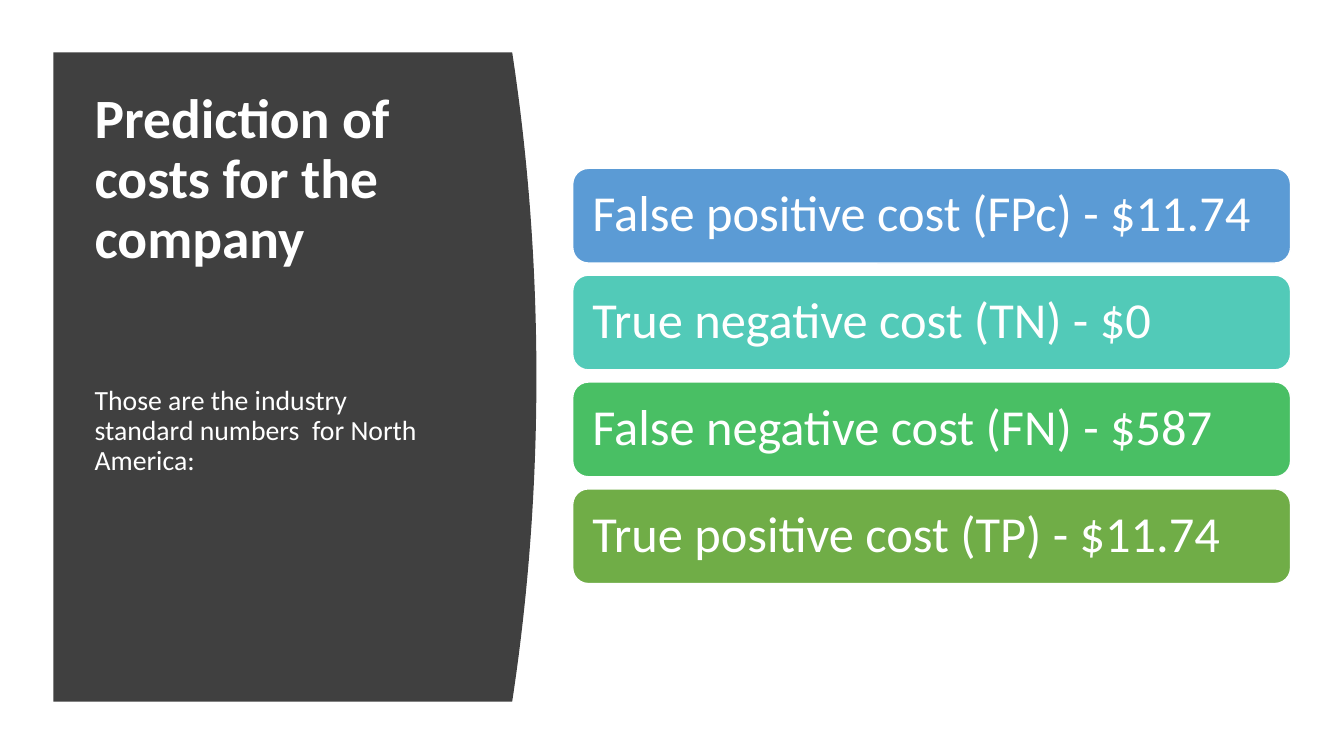
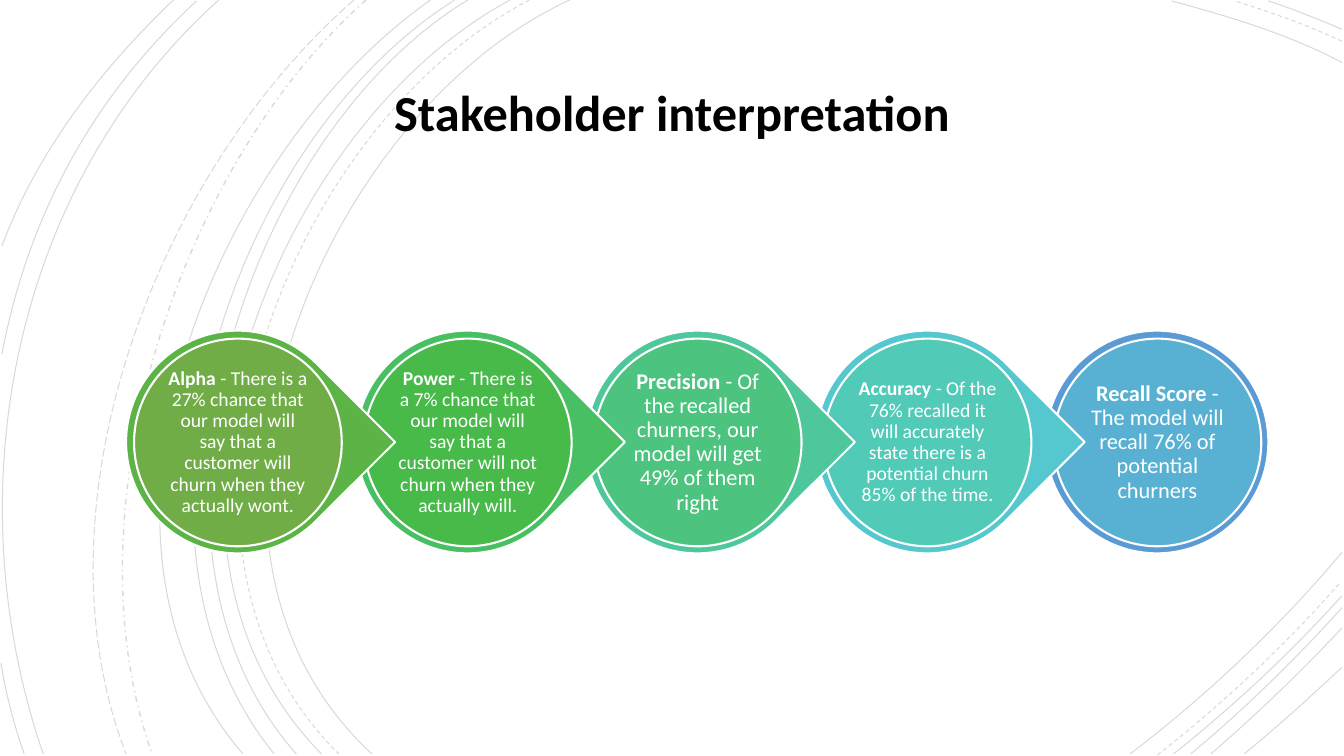
from lxml.etree import SubElement
from pptx import Presentation
from pptx.dml.color import RGBColor
from pptx.enum.dml import MSO_LINE
from pptx.enum.shapes import MSO_SHAPE
from pptx.enum.text import MSO_ANCHOR, PP_ALIGN
from pptx.oxml.ns import qn
from pptx.util import Inches, Pt

ROUND, OVAL, DROP = MSO_SHAPE.ROUNDED_RECTANGLE, MSO_SHAPE.OVAL, MSO_SHAPE.TEAR
SOLID, DASH = MSO_LINE.SOLID, MSO_LINE.DASH
LONG, DOT = MSO_LINE.LONG_DASH, MSO_LINE.DASH_DOT
TOP, MIDDLE = MSO_ANCHOR.TOP, MSO_ANCHOR.MIDDLE
LEFT, CENTER = PP_ALIGN.LEFT, PP_ALIGN.CENTER


class Theme:
    font = "Calibri"
    white = RGBColor.from_string("FFFFFF")
    black = RGBColor.from_string("000000")
    dark = RGBColor.from_string("404040")
    head, title, note, bar = 39.6, 36, 19.8, 36


def write(frame, paras, color=Theme.white, align=LEFT, anchor=TOP, inset=0.1):
    """Fill a text frame; each paragraph is a size and its (text, bold) runs."""
    frame.word_wrap = True
    frame.vertical_anchor = anchor
    frame.margin_left = frame.margin_right = Inches(inset)
    frame.margin_top = frame.margin_bottom = Inches(0)
    for row, (size, runs) in enumerate(paras):
        para = frame.add_paragraph() if row else frame.paragraphs[0]
        para.alignment = align
        para.line_spacing = 0.9
        font = para.font
        font.name, font.size, font.color.rgb = Theme.font, Pt(size), color
        for text, bold in runs:
            run = para.add_run()
            run.text, run.font.bold = text, bold


def trace(slide, knots, tail=()):
    """Draw cubic curves through the knots; a tail of straight sides closes them."""
    points = [(Inches(x), Inches(y)) for x, y in (*knots, *tail)]
    form = slide.shapes.build_freeform(*points[0])
    form.add_line_segments(points[1:], close=bool(tail))
    shape = form.convert_to_shape()
    shape.shadow.inherit = False
    # Merge each three straight steps into one cubic curve
    lines = shape.element.findall(".//" + qn("a:lnTo"))
    for first in range(0, len(knots) - 1, 3):
        curve, *others = lines[first:first + 3]
        for line in others:
            curve.append(line[0])
            line.getparent().remove(line)
        curve.tag = qn("a:cubicBezTo")
    return shape


deck = Presentation()
deck.slide_width, deck.slide_height = Inches(13.33), Inches(7.5)
blank = deck.slide_layouts[6]

# Slide 1: dark panel with a curved right edge
slide = deck.slides.add_slide(blank)
edge = ((5.08, 0.52), (5.24, 1.57), (5.32, 2.65), (5.32, 3.74),
        (5.32, 4.83), (5.24, 5.91), (5.08, 6.96))
panel = trace(slide, edge, ((0.53, 6.96), (0.53, 0.52)))
panel.fill.solid()
panel.fill.fore_color.rgb = Theme.dark
panel.line.fill.background()

# Panel title and note
box = slide.shapes.add_textbox(Inches(0.84), Inches(0.9), Inches(3.74), Inches(5.47))
write(box.text_frame, (
    (Theme.head, [("Prediction of costs for the company", True)]),
    (Theme.note, [("Those are the industry standard numbers  for North America:",
                   False)]),
))
box.text_frame.paragraphs[1].space_before = Pt(83)

# Cost bars
costs = (
    ("False positive cost (FPc) - $11.74", "5B9BD5"),
    ("True negative cost (TN) - $0", "52CAB8"),
    ("False negative cost (FN) - $587", "49BF64"),
    ("True positive cost (TP) - $11.74", "70AD47"),
)
for row, (text, fill) in enumerate(costs):
    bar = slide.shapes.add_shape(
        ROUND, Inches(5.68), Inches(1.67 + 1.06 * row), Inches(7.12), Inches(0.94))
    bar.shadow.inherit = False
    bar.fill.solid()
    bar.fill.fore_color.rgb = RGBColor.from_string(fill)
    bar.line.color.rgb = Theme.white
    bar.line.width = Pt(1)
    write(bar.text_frame, [(Theme.bar, [(text, False)])], anchor=MIDDLE, inset=0.15)

# Slide 2: background arcs as start, two pulls, end, dash, width
slide = deck.slides.add_slide(blank)
arcs = (
    ((5.65, 0), (3.15, 1.15), (1.43, 5.4), (3.69, 7.48), SOLID, 0.75),
    ((13.31, 0.62), (12.78, 0.34), (12.18, 0.16), (11.62, 0.01), SOLID, 0.75),
    ((11.21, 7.48), (11.97, 6.9), (12.69, 6.22), (13.31, 5.48), SOLID, 0.75),
    ((5.25, 0), (2.85, 1.25), (1.23, 5.37), (3.36, 7.48), DASH, 0.75),
    ((13.31, 0.41), (12.97, 0.25), (12.6, 0.12), (12.25, 0.01), DASH, 0.75),
    ((11.48, 7.49), (12.13, 6.98), (12.75, 6.4), (13.3, 5.77), DASH, 0.75),
    ((5.06, 0), (2.7, 1.27), (1.1, 5.37), (3.19, 7.48), SOLID, 0.75),
    ((13.31, 0.29), (13.07, 0.19), (12.83, 0.09), (12.58, 0.01), SOLID, 0.75),
    ((11.64, 7.48), (12.23, 7.01), (12.8, 6.48), (13.31, 5.91), SOLID, 0.75),
    ((4.64, 0), (2.44, 1.33), (1.1, 5.41), (2.94, 7.48), SOLID, 0.75),
    ((11.81, 7.48), (12.34, 7.04), (12.84, 6.55), (13.31, 6.03), SOLID, 0.75),
    ((4.51, 0), (2.31, 1.38), (0.97, 5.33), (2.72, 7.48), SOLID, 0.75),
    ((12.01, 7.48), (12.46, 7.09), (12.9, 6.67), (13.31, 6.23), SOLID, 0.75),
    ((4.27, 0), (2.17, 1.47), (0.53, 5.29), (2.41, 7.48), SOLID, 0.75),
    ((12.34, 7.48), (12.67, 7.21), (12.99, 6.92), (13.31, 6.62), SOLID, 0.75),
    ((3.63, 0), (1.76, 1.66), (0.65, 5.09), (1.51, 7.48), DOT, 1),
    ((3.51, 0), (1.57, 1.69), (0.29, 4.99), (1.25, 7.48), LONG, 0.75),
    ((2.17, 0), (0.11, 1.85), (-0.46, 4.9), (0.43, 7.48), SOLID, 0.75),
    ((1.95, 0.01), (0.92, 0.96), (0.28, 2.14), (0.02, 3.51), SOLID, 0.75),
    ((0.01, 6.58), (0.06, 6.89), (0.14, 7.19), (0.24, 7.48), SOLID, 0.75),
    ((1.72, 0), (1, 0.69), (0.37, 1.5), (0.02, 2.44), SOLID, 0.75),
)
for *knots, dash, width in arcs:
    arc = trace(slide, knots)
    arc.fill.background()
    arc.line.color.rgb = Theme.black
    arc.line.width = Pt(width)
    arc.line.dash_style = dash
    ink = arc.element.find(".//" + qn("a:ln")).find(".//" + qn("a:srgbClr"))
    SubElement(ink, qn("a:alpha"), val="15000")

# Title
box = slide.shapes.add_textbox(Inches(1.92), Inches(0.87), Inches(9.49), Inches(1.15))
write(box.text_frame, [(Theme.title, [("Stakeholder interpretation", True)])],
      Theme.black, CENTER)

# Chain of drops, drawn from right to left so that each tip overlaps the next
steps = (
    ("Alpha", " - There is a 27% chance that our model will say that a customer "
     "will churn when they actually wont.", 14, DROP, "5CB447", "70AD47"),
    ("Power", " - There is a 7% chance that our model will say that a customer "
     "will not churn when they actually will.", 14, DROP, "49BF64", "47BA49"),
    ("Precision", " - Of the recalled churners, our model will get 49% of them "
     "right", 16, DROP, "4FC79C", "4CC37F"),
    ("Accuracy", " - Of the 76% recalled it will accurately state there is a "
     "potential churn 85% of the time.", 14, DROP, "55C7CE", "52CAB8"),
    ("Recall Score ", "- The model will recall 76% of potential churners",
     16, OVAL, "5B9BD5", "58B1D2"),
)
for col, (name, text, size, kind, rim, core) in reversed(list(enumerate(steps))):
    left = 1.25 + 2.28 * col
    for shape, gap, width, fill in ((kind, 0, 2.21, rim), (OVAL, 0.08, 2.06, core)):
        disc = slide.shapes.add_shape(
            shape, Inches(left + gap), Inches(3.28 + gap), Inches(width), Inches(width))
        disc.shadow.inherit = False
        disc.rotation = 45 if shape == DROP else 0
        disc.fill.solid()
        disc.fill.fore_color.rgb = RGBColor.from_string(fill)
        disc.line.color.rgb = Theme.white
        disc.line.width = Pt(1.5)
    write(disc.text_frame, [(size, [(name, True), (text, False)])],
          align=CENTER, anchor=MIDDLE, inset=0.02)

deck.save("out.pptx")
